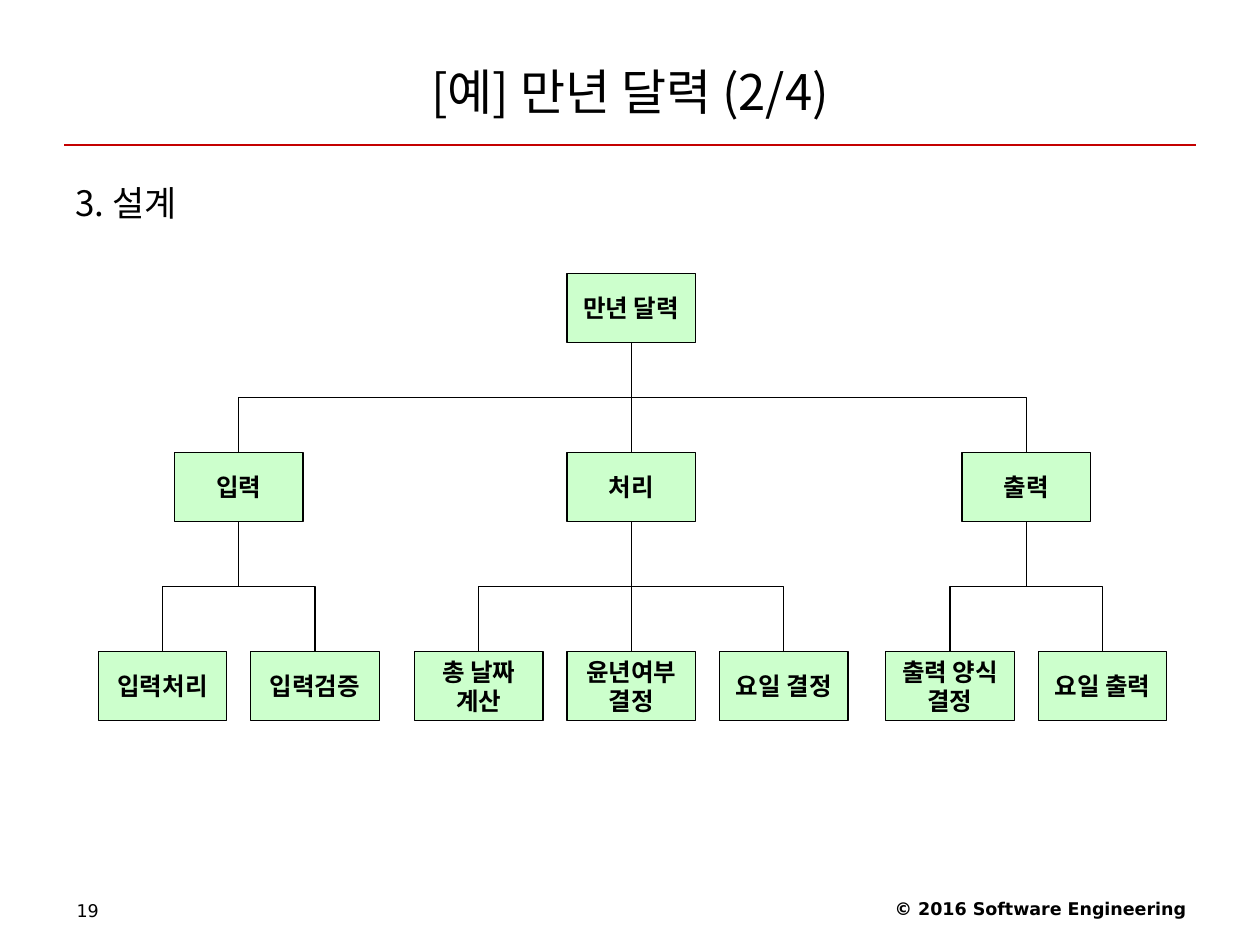
"""Build the design slide of the perpetual calendar example."""
from dataclasses import dataclass

import lxml.etree
import pptx
import pptx.dml.color
import pptx.enum.shapes
import pptx.enum.text
import pptx.oxml.ns
import pptx.util

Inches = pptx.util.Inches
Align = pptx.enum.text.PP_ALIGN
Link = pptx.enum.shapes.MSO_CONNECTOR
qn = pptx.oxml.ns.qn

HUES = {"ink": "000000", "rule": "C40000", "box": "CCFFCC"}
HAN = "Noto Sans CJK KR"
SANS = "DejaVu Sans"
WIDE, HIGH = 1.02, 0.55
ROWS = (2.17, 3.59, 5.17)
STEP = 1.21


@dataclass
class Branch:
    name: str
    left: float
    leaves: tuple[str, ...]


BRANCHES = (
    Branch("입력", 0.78, ("입력처리", "입력검증")),
    Branch("처리", 3.29, ("총 날짜\n계산", "윤년여부\n결정", "요일 결정")),
    Branch("출력", 7.03, ("출력 양식\n결정", "요일 출력")),
)


def hue(name: str) -> pptx.dml.color.RGBColor:
    return pptx.dml.color.RGBColor.from_string(HUES[name])


def write(frame, text: str, size: int, face: str, align=Align.LEFT, bold: bool = False) -> None:
    frame.text = text
    for para in frame.paragraphs:
        para.alignment = align
        font = para.font
        font.size, font.name, font.bold = pptx.util.Pt(size), face, bold
        font.color.rgb = hue("ink")
        props = para._p.pPr.find(qn("a:defRPr"))
        lxml.etree.SubElement(props, qn("a:ea"), typeface=face)


def add_text(slide, spot: tuple[float, ...]):
    frame = slide.shapes.add_textbox(*map(Inches, spot)).text_frame
    frame.word_wrap = True
    return frame


def add_line(slide, kind, ends: tuple[int, ...], shade: str):
    line = slide.shapes.add_connector(kind, *ends)
    line.line.color.rgb = hue(shade)
    line.line.width = pptx.util.Pt(0.75)
    lxml.etree.SubElement(line._element.spPr, qn("a:effectLst"))
    return line


def add_box(slide, text: str, left: float, top: float):
    box = slide.shapes.add_shape(
        pptx.enum.shapes.MSO_SHAPE.RECTANGLE, *map(Inches, (left, top, WIDE, HIGH)))
    box.shadow.inherit = False
    box.fill.solid()
    box.fill.fore_color.rgb = hue("box")
    box.line.color.rgb = hue("ink")
    box.line.width = pptx.util.Pt(0.75)
    frame = box.text_frame
    frame.word_wrap = False
    frame.vertical_anchor = pptx.enum.text.MSO_ANCHOR.MIDDLE
    frame.margin_left = frame.margin_right = Inches(0.12)
    frame.margin_top = frame.margin_bottom = Inches(0.06)
    write(frame, text, 14, HAN, Align.CENTER, True)
    return box


def join(slide, top, low) -> None:
    start, stop = top.left + top.width // 2, low.left + low.width // 2
    high, base = top.top + top.height, low.top
    span, drop = abs(stop - start), base - high
    kind = Link.ELBOW if span else Link.STRAIGHT
    line = add_line(slide, kind, (start, high, stop, base), "ink")
    line.begin_connect(top, 2)
    line.end_connect(low, 0)
    if span:
        line.left = (start + stop - drop) // 2
        line.top = (high + base - span) // 2
        line.width, line.height = drop, span
        right = stop > start
        frame = line._element.spPr.find(qn("a:xfrm"))
        frame.set("rot", str((270 if right else 90) * 60000))
        frame.set("flipH", "1" if right else "0")


def add_tree(slide) -> None:
    mids = [part.left + STEP * (len(part.leaves) - 1) / 2 for part in BRANCHES]
    root = add_box(slide, "만년 달력", mids[1], ROWS[0])
    for part, mid in zip(BRANCHES, mids):
        node = add_box(slide, part.name, mid, ROWS[1])
        join(slide, root, node)
        for rank, name in enumerate(part.leaves):
            leaf = add_box(slide, name, part.left + rank * STEP, ROWS[2])
            join(slide, node, leaf)


def add_point(slide, text: str) -> None:
    frame = add_text(slide, (0.5, 1.39, 9, 5.51))
    para = frame.paragraphs[0]
    props = para._p.get_or_add_pPr()
    props.set("marL", str(Inches(0.38)))
    props.set("indent", str(Inches(-0.38)))
    tint = lxml.etree.SubElement(props, qn("a:buClr"))
    lxml.etree.SubElement(tint, qn("a:srgbClr"), val=HUES["rule"])
    lxml.etree.SubElement(props, qn("a:buChar"), char="❖")
    para.line_spacing = 1.4
    write(frame, text, 20, HAN)


def main() -> None:
    deck = pptx.Presentation()
    deck.slide_width, deck.slide_height = Inches(10), Inches(7.5)
    slide = deck.slides.add_slide(deck.slide_layouts[5])
    title = slide.shapes.title
    title.left, title.top, title.width, title.height = map(Inches, (0.5, 0.3, 9, 0.85))
    title.text_frame.vertical_anchor = pptx.enum.text.MSO_ANCHOR.MIDDLE
    write(title.text_frame, "[예] 만년 달력 (2/4)", 28, HAN, Align.CENTER)
    ends = tuple(map(Inches, (0.51, 1.15, 9.49, 1.15)))
    add_line(slide, Link.STRAIGHT, ends, "rule")
    foot = add_text(slide, (6.34, 7.08, 3.17, 0.29))
    write(foot, "© 2016 Software Engineering", 10, SANS, Align.RIGHT, True)
    write(add_text(slide, (0.51, 7.09, 2.33, 0.28)), "19", 10, SANS)
    add_point(slide, "3. 설계")
    add_tree(slide)
    deck.save("out.pptx")


if __name__ == "__main__":
    main()
